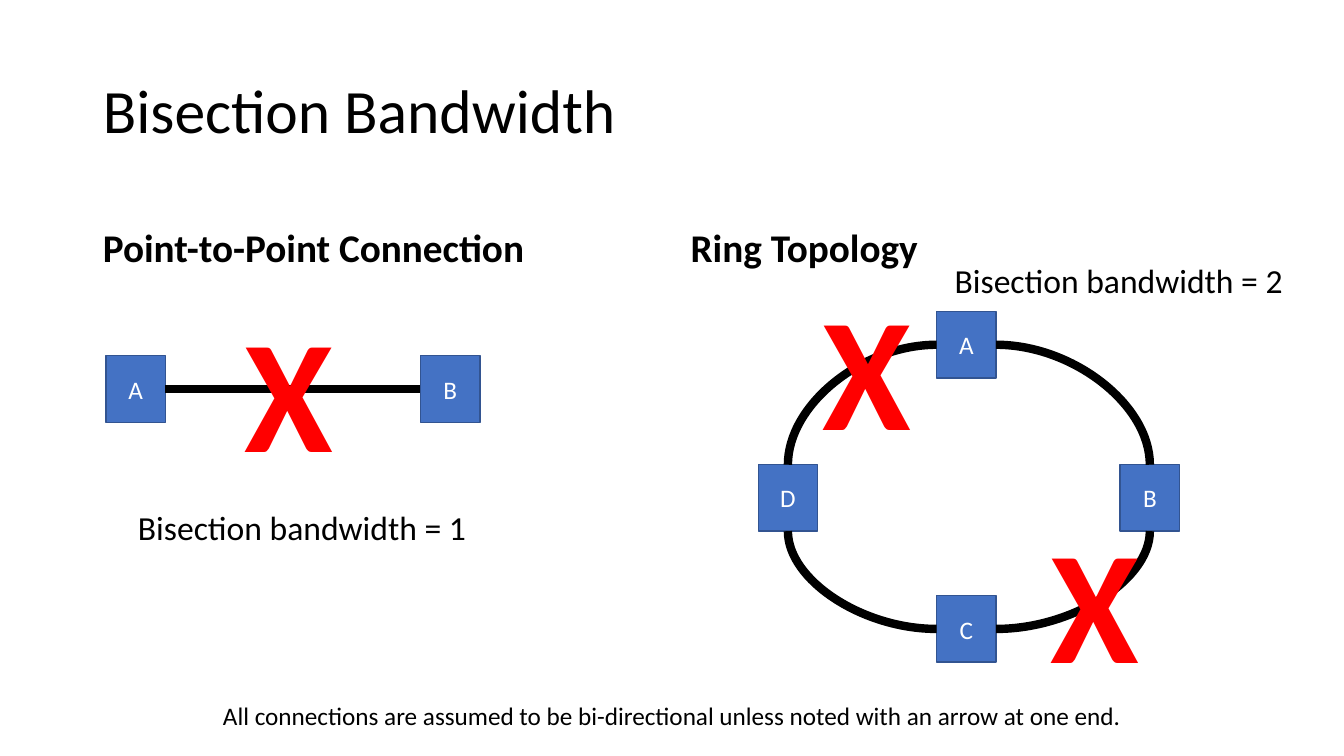
from lxml import etree
from pptx import Presentation
from pptx.dml.color import RGBColor
from pptx.enum import shapes, text
from pptx.oxml import ns
from pptx.util import Inches, Pt

BLACK = RGBColor(0x00, 0x00, 0x00)
WHITE = RGBColor(0xFF, 0xFF, 0xFF)
RED = RGBColor(0xFF, 0x00, 0x00)
BLUE = RGBColor(0x44, 0x72, 0xC4)
DARK_BLUE = RGBColor(0x32, 0x54, 0x91)
FONT = "Calibri"

TOP, LEFT, BOTTOM, RIGHT = range(4)
NODE_SIZE = (0.59, 0.66)

HEADINGS = {
    0: ("Bisection Bandwidth", (0.92, 0.4, 11.5, 1.45), 44),
    1: ("Point-to-Point Connection", (0.92, 1.84, 5.64, 0.9), 28),
    3: ("Ring Topology", (6.75, 1.84, 5.67, 0.9), 28),
}
PAIR_NODES = {"A": (1.05, 3.53), "B": (4.17, 3.53)}
PAIR_LINKS = [("A", RIGHT, "B", LEFT)]
RING_NODES = {"A": (9.29, 3.09), "B": (11.11, 4.61), "C": (9.29, 5.91), "D": (7.52, 4.61)}
RING_LINKS = [
    ("A", RIGHT, "B", TOP),
    ("C", RIGHT, "B", BOTTOM),
    ("C", LEFT, "D", BOTTOM),
    ("A", LEFT, "D", TOP),
]
FOOTNOTE = "All connections are assumed to be bi-directional unless noted with an arrow at one end."
BANDWIDTHS = [
    ("Bisection bandwidth = 1", (1.27, 4.98, 3.49, 0.5)),
    ("Bisection bandwidth = 2", (9.37, 2.53, 3.49, 0.5)),
]
CUTS = [(2.33, 2.84), (8.06, 2.62), (10.32, 4.94)]
CUT_SIZE = (1.09, 2.04)


def write(holder, words, *, size=18, color=BLACK, bold=False, align=text.PP_ALIGN.LEFT,
          anchor=text.MSO_ANCHOR.TOP, wrap=True, spacing=1.0):
    frame = holder.text_frame
    frame.word_wrap = wrap
    frame.auto_size = text.MSO_AUTO_SIZE.NONE
    frame.vertical_anchor = anchor
    paragraph = frame.paragraphs[0]
    paragraph.alignment = align
    paragraph.line_spacing = spacing
    paragraph.space_before = Pt(0)
    run = paragraph.add_run()
    run.text = words
    run.font.name = FONT
    run.font.size = Pt(size)
    run.font.bold = bold
    run.font.color.rgb = color


def add_label(slide, words, box, **style):
    write(slide.shapes.add_textbox(*map(Inches, box)), words, **style)


def add_node(slide, name, corner):
    node = slide.shapes.add_shape(shapes.MSO_SHAPE.RECTANGLE, *map(Inches, corner + NODE_SIZE))
    node.shadow.inherit = False
    node.fill.solid()
    node.fill.fore_color.rgb = BLUE
    node.line.color.rgb = DARK_BLUE
    node.line.width = Pt(1)
    write(node, name, color=WHITE, align=text.PP_ALIGN.CENTER, anchor=text.MSO_ANCHOR.MIDDLE)
    return node


def add_network(slide, corners, links, kind):
    nodes = {name: add_node(slide, name, corner) for name, corner in corners.items()}
    for start, start_side, end, end_side in links:
        link = slide.shapes.add_connector(kind, 0, 0, 0, 0)
        link.begin_connect(nodes[start], start_side)
        link.end_connect(nodes[end], end_side)
        link.line.color.rgb = BLACK
        link.line.width = Pt(6)
        properties = link._element.spPr
        if kind == shapes.MSO_CONNECTOR.CURVE:
            properties.find(ns.qn("a:prstGeom")).set("prst", "curvedConnector2")
        etree.SubElement(properties, ns.qn("a:effectLst"))


def main():
    deck = Presentation()
    deck.slide_width, deck.slide_height = Inches(13.33), Inches(7.5)
    slide = deck.slides.add_slide(deck.slide_layouts.get_by_name("Comparison"))

    for holder in list(slide.placeholders):
        index = holder.placeholder_format.idx
        if index not in HEADINGS:
            holder._element.getparent().remove(holder._element)
            continue
        words, box, size = HEADINGS[index]
        holder.left, holder.top, holder.width, holder.height = map(Inches, box)
        anchor = text.MSO_ANCHOR.BOTTOM if index else text.MSO_ANCHOR.MIDDLE
        write(holder, words, size=size, bold=index > 0, anchor=anchor, spacing=0.9)

    add_network(slide, PAIR_NODES, PAIR_LINKS, shapes.MSO_CONNECTOR.STRAIGHT)
    add_network(slide, RING_NODES, RING_LINKS, shapes.MSO_CONNECTOR.CURVE)
    add_label(slide, FOOTNOTE, (0, 6.9, 13.33, 0.4), align=text.PP_ALIGN.CENTER)
    for corner in CUTS:
        add_label(slide, "X", corner + CUT_SIZE, size=115, color=RED, bold=True, wrap=False)
    for words, box in BANDWIDTHS:
        add_label(slide, words, box, size=24, wrap=False)

    deck.save("out.pptx")


if __name__ == "__main__":
    main()
